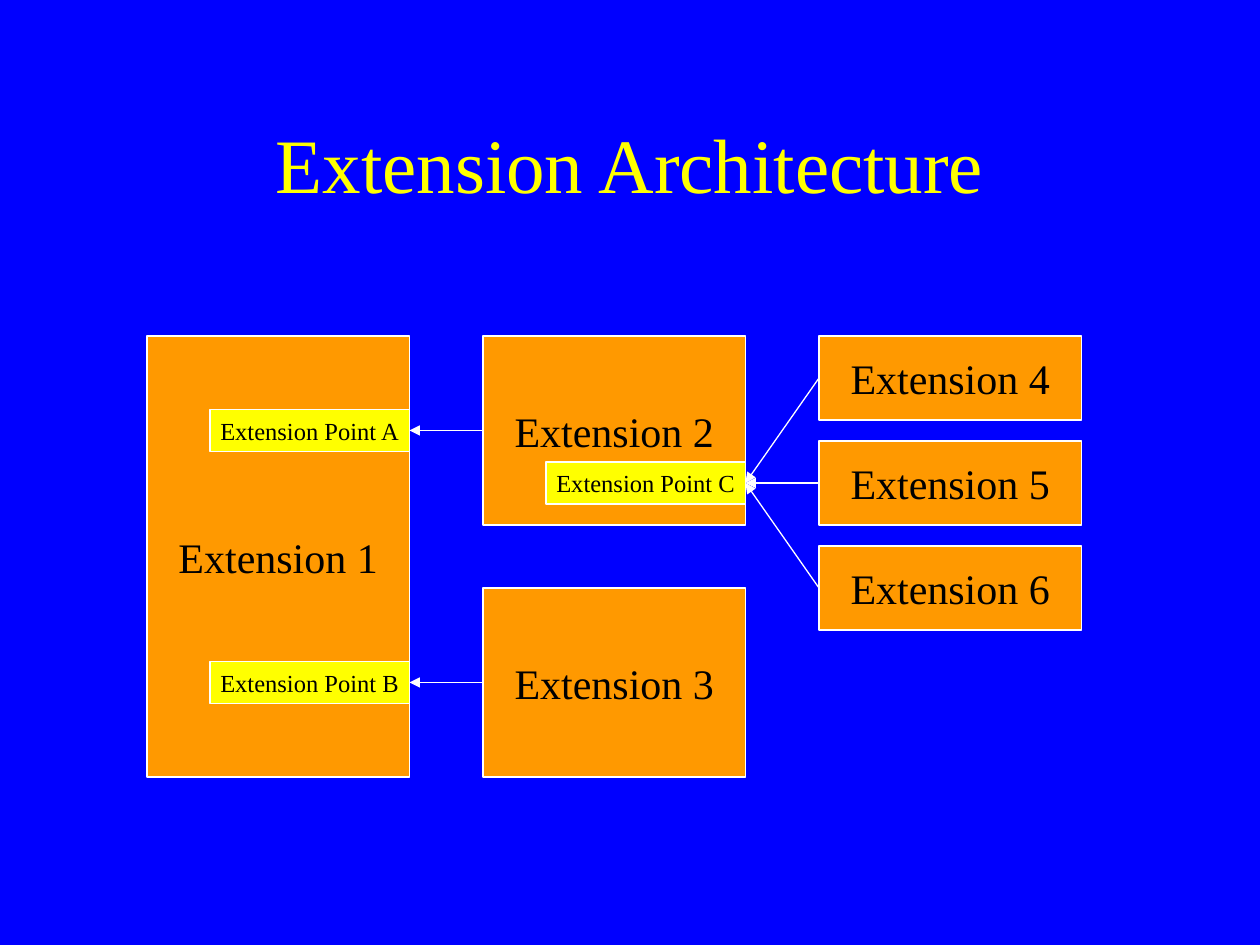
from lxml import etree
from pptx import Presentation
from pptx import util as u
from pptx.dml.color import RGBColor
from pptx.enum import shapes, text
from pptx.oxml.ns import qn

TITLE = "Extension Architecture"
FONT = "Times New Roman"
BLUE, YELLOW, ORANGE, WHITE, BLACK = "0000FF", "FFFF00", "FF9900", "FFFFFF", "000000"

# The slide is a grid of 120 by 90 units, twelve to the inch.
UNIT = u.Inches(1) // 12
FIRST_LEFT, COLUMN_STEP, BOX_WIDTH = 14, 32, 25
POINT_WIDTH, POINT_HEIGHT = 19, 4

# name: (column, top, height)
EXTENSIONS = {
    "Extension 1": (0, 32, 42),
    "Extension 2": (1, 32, 18),
    "Extension 3": (1, 56, 18),
    "Extension 4": (2, 32, 8),
    "Extension 5": (2, 42, 8),
    "Extension 6": (2, 52, 8),
}
# name: (column, top, extensions plugged into it)
POINTS = {
    "Extension Point A": (0, 39, ["Extension 2"]),
    "Extension Point B": (0, 63, ["Extension 3"]),
    "Extension Point C": (1, 44, ["Extension 4", "Extension 5", "Extension 6"]),
}


def color(value):
    return RGBColor.from_string(value)


def write(shape, words, size, fill=BLACK, wrap=False):
    frame = shape.text_frame
    frame.word_wrap = wrap
    frame.vertical_anchor = text.MSO_ANCHOR.MIDDLE
    paragraph = frame.paragraphs[0]
    paragraph.alignment = text.PP_ALIGN.CENTER
    run = paragraph.add_run()
    run.text = words
    run.font.name = FONT
    run.font.size = u.Pt(size)
    run.font.color.rgb = color(fill)


def outline(shape):
    shape.line.color.rgb = color(WHITE)
    shape.line.width = u.Pt(0.75)


def add_box(slide, words, left, top, width, height, fill, size):
    box = slide.shapes.add_shape(
        shapes.MSO_SHAPE.RECTANGLE, *(UNIT * n for n in (left, top, width, height)))
    box.shadow.inherit = False
    box.fill.solid()
    box.fill.fore_color.rgb = color(fill)
    outline(box)
    write(box, words, size)
    return box


def add_arrow(slide, source, target):
    """Join the left side of source to the right side of target."""
    arrow = slide.shapes.add_connector(shapes.MSO_CONNECTOR.STRAIGHT, 0, 0, 0, 0)
    arrow.begin_connect(source, 1)
    arrow.end_connect(target, 3)
    outline(arrow)
    etree.SubElement(arrow.line._get_or_add_ln(), qn("a:tailEnd"), type="triangle")
    etree.SubElement(arrow._element.spPr, qn("a:effectLst"))


def main():
    presentation = Presentation()
    presentation.slide_width, presentation.slide_height = UNIT * 120, UNIT * 90
    slide = presentation.slides.add_slide(presentation.slide_layouts[6])
    slide.background.fill.solid()
    slide.background.fill.fore_color.rgb = color(BLUE)

    title = slide.shapes.add_textbox(*(UNIT * n for n in (9, 8, 102, 15)))
    write(title, TITLE, 44, fill=YELLOW, wrap=True)

    boxes = {}
    for name, (column, top, height) in EXTENSIONS.items():
        left = FIRST_LEFT + column * COLUMN_STEP
        boxes[name] = add_box(slide, name, left, top, BOX_WIDTH, height, ORANGE, 24)

    for name, (column, top, sources) in POINTS.items():
        left = FIRST_LEFT + column * COLUMN_STEP + BOX_WIDTH - POINT_WIDTH
        point = add_box(slide, name, left, top, POINT_WIDTH, POINT_HEIGHT, YELLOW, 14)
        for source in sources:
            add_arrow(slide, boxes[source], point)

    presentation.save("out.pptx")


if __name__ == "__main__":
    main()
